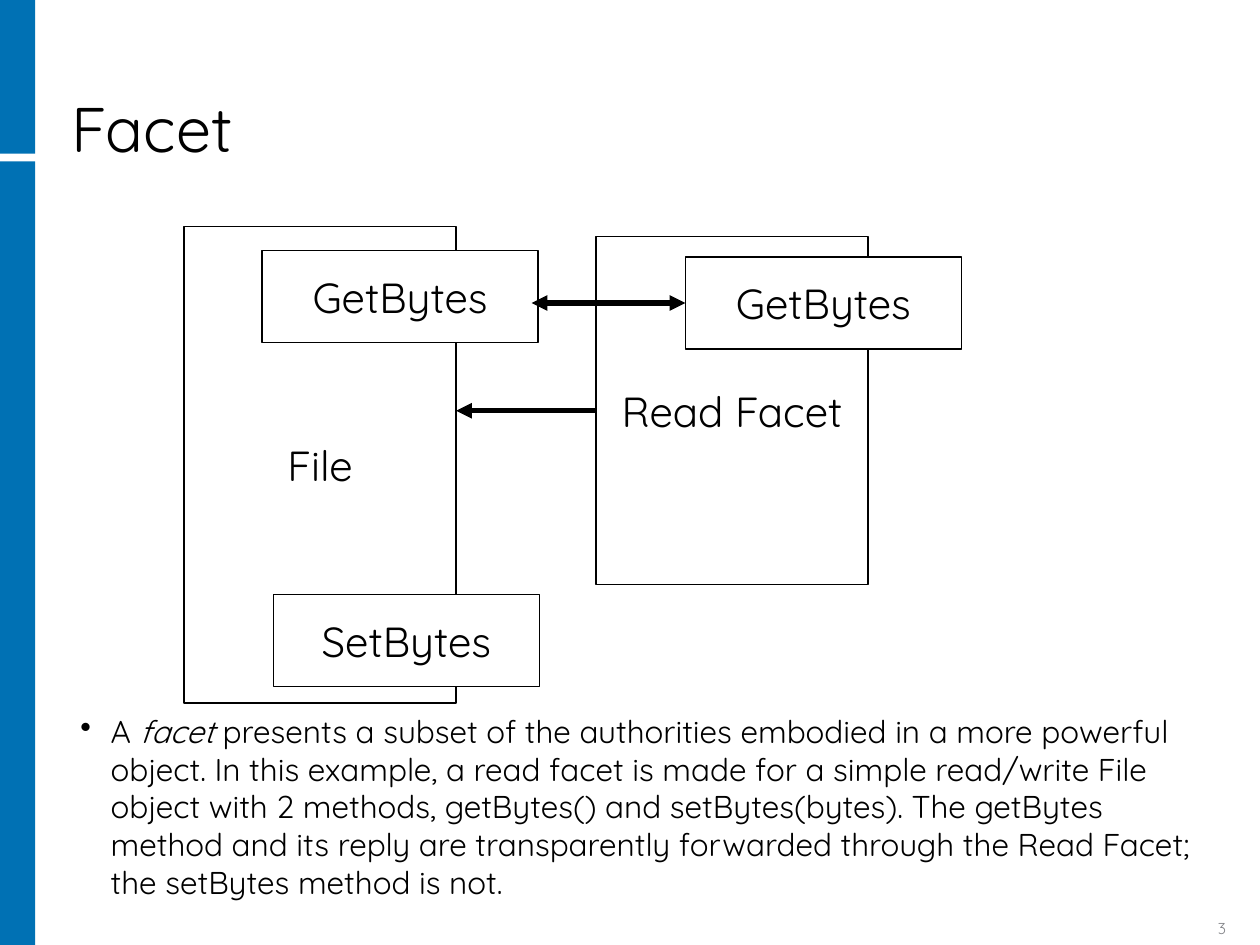
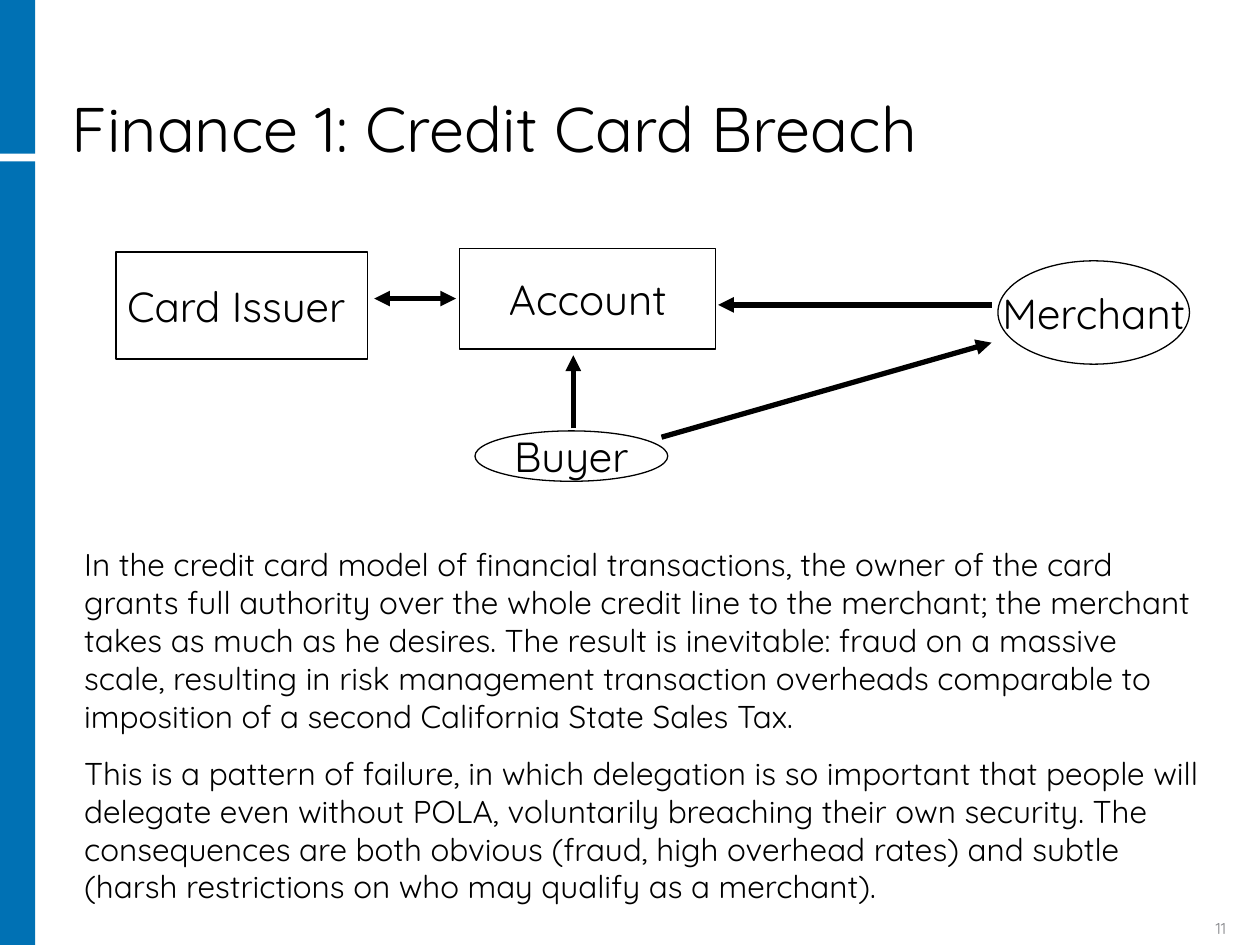
"""Builds two slides on access patterns: a facet and the credit card breach."""
from lxml import etree
from pptx import Presentation
from pptx.dml.color import RGBColor
from pptx.enum.shapes import MSO_CONNECTOR, MSO_SHAPE
from pptx.enum.text import MSO_ANCHOR, PP_ALIGN
from pptx.oxml.ns import qn
from pptx.util import Inches, Pt

RECTANGLE, OVAL, STRAIGHT = MSO_SHAPE.RECTANGLE, MSO_SHAPE.OVAL, MSO_CONNECTOR.STRAIGHT
TOP, MIDDLE, BOTTOM = MSO_ANCHOR.TOP, MSO_ANCHOR.MIDDLE, MSO_ANCHOR.BOTTOM
LEFT, CENTER, RIGHT = PP_ALIGN.LEFT, PP_ALIGN.CENTER, PP_ALIGN.RIGHT
LEFT_SIDE, RIGHT_SIDE = 1, 3
BLUE, BLACK, WHITE, GREY = "0071B4", "000000", "FFFFFF", "848589"
FONT = "Quicksand"

presentation = Presentation()
presentation.slide_width, presentation.slide_height = Inches(10), Inches(7.5)
COLUMN = presentation.slide_width / 100
ROW = presentation.slide_height / 75


def place(left, top, width, height):
    """Turn grid columns and rows into slide lengths."""
    return [round(left * COLUMN), round(top * ROW), round(width * COLUMN), round(height * ROW)]


def write(shape, paragraphs, size, colour=BLACK, align=LEFT, anchor=TOP, wrap=True, before=0):
    """Fill a shape with paragraphs; text between asterisks is italic."""
    frame = shape.text_frame
    frame.word_wrap, frame.vertical_anchor = wrap, anchor
    for index, text in enumerate(paragraphs):
        paragraph = frame.add_paragraph() if index else frame.paragraphs[0]
        paragraph.alignment, paragraph.space_before = align, Pt(before)
        paragraph.font.name, paragraph.font.size = FONT, Pt(size)
        paragraph.font.color.rgb = RGBColor.from_string(colour)
        for part, words in enumerate(text.split("*")):
            run = paragraph.add_run()
            run.text = words
            if part % 2:
                run.font.italic = True
    return frame


pages = [
    {
        "title": "Facet",
        "number": "3",
        "boxes": [
            ("file", "File", RECTANGLE, None, (14.6, 18, 21.6, 37.8)),
            ("facet", "Read Facet", RECTANGLE, None, (47.3, 18.8, 21.6, 27.6)),
            ("file get", "GetBytes", RECTANGLE, WHITE, (20.8, 19.9, 21.9, 7.3)),
            ("file set", "SetBytes", RECTANGLE, WHITE, (21.7, 47.2, 21.1, 7.3)),
            ("facet get", "GetBytes", RECTANGLE, WHITE, (54.4, 20.4, 21.9, 7.3)),
        ],
        "arrows": [
            ((47.3, 32.8), (36.2, 32.8), False, "facet"),
            ((54.4, 24), (42.2, 24), True, "facet get"),
        ],
        "body": [
            "A *facet* presents a subset of the authorities embodied in a more powerful "
            "object. In this example, a read facet is made for a simple read/write File "
            "object with 2 methods, getBytes() and setBytes(bytes). The getBytes method "
            "and its reply are transparently forwarded through the Read Facet; the "
            "setBytes method is not.",
        ],
        "body place": (5.4, 56, 90.3, 16),
        "before": 6.8,
        "bullet": True,
    },
    {
        "title": "Finance 1: Credit Card Breach",
        "number": "11",
        "boxes": [
            ("issuer", "Card Issuer ", RECTANGLE, None, (9.2, 20, 20, 8.5)),
            ("account", "Account", RECTANGLE, None, (36.5, 19.7, 20.3, 8)),
            ("buyer", "Buyer", OVAL, None, (37.7, 34.2, 15.3, 4)),
            ("merchant", "Merchant", OVAL, None, (79.2, 20.7, 15.2, 8.2)),
        ],
        "arrows": [
            ((45.5, 34), (45.5, 28.2), False, None),
            ((36.2, 23.7), (29.7, 23.7), True, None),
            ((52.5, 34.7), (78.7, 27.2), False, None),
            ((78.7, 24.2), (57, 24.2), False, None),
        ],
        "body": [
            "In the credit card model of financial transactions, the owner of the card "
            "grants full authority over the whole credit line to the merchant; the "
            "merchant takes as much as he desires. The result is inevitable: fraud on a "
            "massive scale, resulting in risk management transaction overheads comparable "
            "to imposition of a second California State Sales Tax.",
            "This is a pattern of failure, in which delegation is so important that people "
            "will delegate even without POLA, voluntarily breaching their own security. "
            "The consequences are both obvious (fraud, high overhead rates) and subtle "
            "(harsh restrictions on who may qualify as a merchant).",
        ],
        "body place": (5.7, 42.8, 90.7, 29.6),
        "before": 11.2,
        "bullet": False,
    },
]

for page in pages:
    slide = presentation.slides.add_slide(presentation.slide_layouts[6])
    shapes = slide.shapes

    for top, height in [(12.8, 62.2), (0, 12.2)]:
        band = shapes.add_shape(RECTANGLE, *place(0, top, 2.8, height))
        band.shadow.inherit = False
        band.fill.solid()
        band.fill.fore_color.rgb = RGBColor.from_string(BLUE)
        band.line.fill.background()

    title = shapes.add_textbox(*place(4.7, 1.2, 83.4, 12.5))
    write(title, [page["title"]], 36, anchor=BOTTOM).paragraphs[0].line_spacing = 0.9

    boxes = {}
    for name, label, kind, fill, area in page["boxes"]:
        box = boxes[name] = shapes.add_shape(kind, *place(*area))
        box.shadow.inherit = False
        if fill:
            box.fill.solid()
            box.fill.fore_color.rgb = RGBColor.from_string(fill)
        else:
            box.fill.background()
        box.line.color.rgb = RGBColor.from_string(BLACK)
        box.line.width = Pt(0.75)
        write(box, [label], 24, align=CENTER, anchor=MIDDLE, wrap=False)

    for start, end, both_ways, source in page["arrows"]:
        arrow = shapes.add_connector(STRAIGHT, *place(*start, *end))
        if source:
            arrow.begin_connect(boxes[source], LEFT_SIDE)
            arrow.end_y = arrow.begin_y
        arrow.line.color.rgb = RGBColor.from_string(BLACK)
        arrow.line.width = Pt(3)
        outline = arrow.line._get_or_add_ln()
        for tip in ["headEnd", "tailEnd"] if both_ways else ["tailEnd"]:
            etree.SubElement(outline, qn("a:" + tip), type="triangle")
        etree.SubElement(arrow._element.spPr, qn("a:effectLst"))

    body = shapes.add_textbox(*place(*page["body place"]))
    frame = write(body, page["body"], 18, before=page["before"])
    if page["bullet"]:
        for paragraph in frame.paragraphs:
            properties = paragraph._p.get_or_add_pPr()
            properties.set("marL", str(Inches(0.24)))
            properties.set("indent", str(-Inches(0.24)))
            bullet = etree.Element(qn("a:buChar"), char="•")
            properties.find(qn("a:defRPr")).addprevious(bullet)

    number = shapes.add_textbox(*place(90, 72.5, 8.3, 2.4))
    write(number, [page["number"]], 9, GREY, RIGHT, BOTTOM)

presentation.save("out.pptx")
